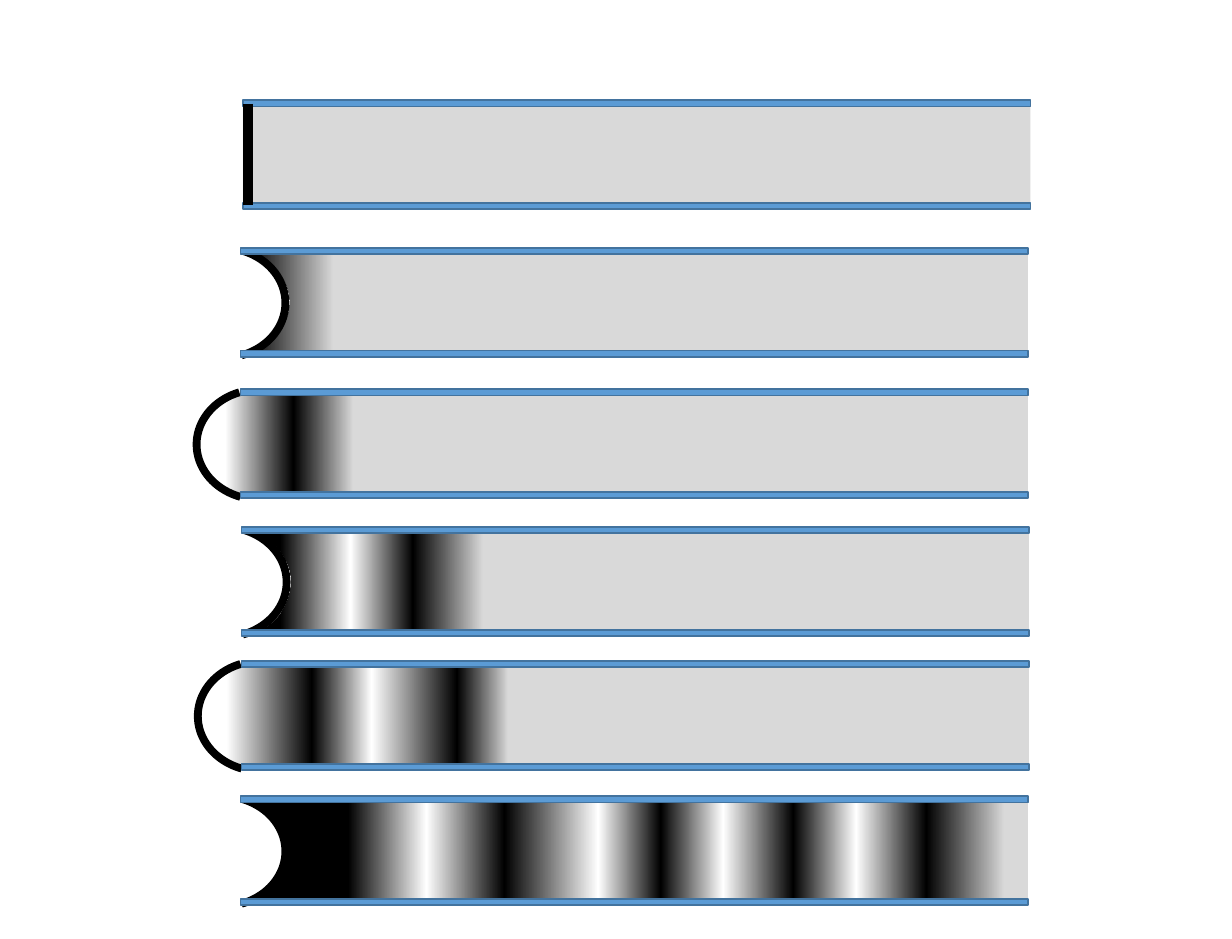
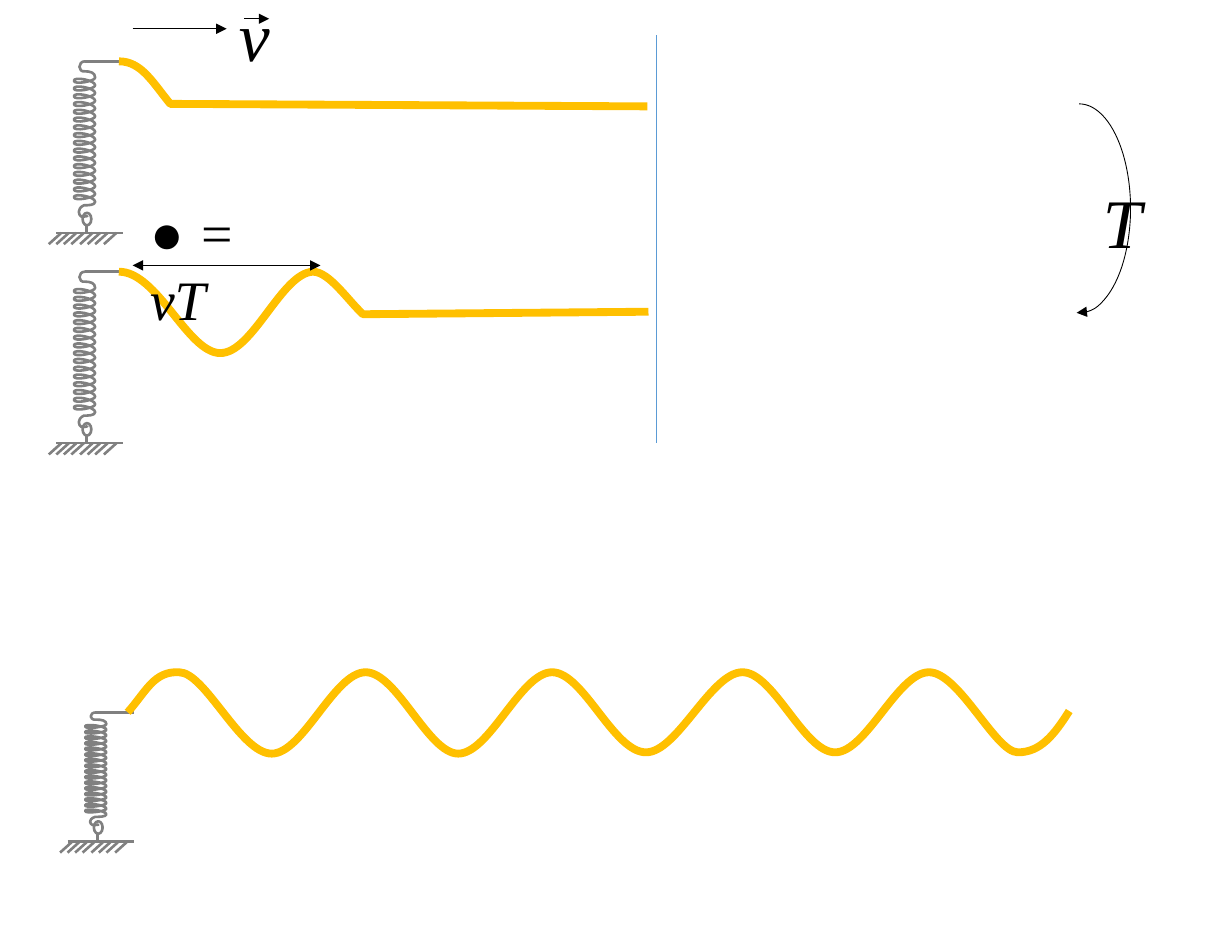
import lxml.etree
import pptx
import pptx.dml.color
import pptx.enum.shapes
import pptx.oxml.ns
import pptx.util

SCALE = 9144
KIND = pptx.enum.shapes.MSO_SHAPE
BLACK, WHITE, PALE = "000000", "FFFFFF", "D9D9D9"
BLUE, EDGE, GRAY, GOLD = "5B9BD5", "43739E", "808080", "FFC000"
FONT = "Times New Roman"
DENT = (58, 24, 30, 80, 0, 83)
DEEP = (24, 9, 53, 65, -1, 83)
BULGE = (-59, 13, -46, 79, 0, 82)


def px(size):
    """Turn px into EMU."""
    return round(size * SCALE)


def color(code):
    """Turn a hex string into a colour."""
    return pptx.dml.color.RGBColor.from_string(code)


def tag(name):
    """Give the full name of a drawing tag."""
    return pptx.oxml.ns.qn("a:" + name)


class Deck:
    """Holds the style and the current slide."""

    def __init__(self):
        """Open an empty deck."""
        self.show = pptx.Presentation()
        self.show.slide_width, self.show.slide_height = px(984), px(750)

    def page(self):
        """Start a blank slide."""
        self.shapes = self.show.slides.add_slide(self.show.slide_layouts[6]).shapes

    def style(self, shape, fill, line, width):
        """Set the fill and line of a shape."""
        shape.shadow.inherit = False
        if fill:
            shape.fill.solid()
            shape.fill.fore_color.rgb = color(fill)
        else:
            shape.fill.background()
        if line:
            self.stroke(shape, line, width)
        else:
            shape.line.fill.background()
        return shape

    def stroke(self, shape, line, width):
        """Set the line colour and width."""
        shape.line.color.rgb = color(line)
        shape.line.width = pptx.util.Pt(width)

    def tips(self, shape, ends):
        """Add arrowheads to the named ends."""
        for end in ends:
            lxml.etree.SubElement(shape.line._get_or_add_ln(), tag(end), type="triangle")

    def shape(self, kind, x, y, w, h, fill=None, line=None, width=1):
        """Add a preset shape."""
        shape = self.shapes.add_shape(kind, px(x), px(y), px(w), px(h))
        return self.style(shape, fill, line, width)

    def arc(self, x, y, w, h, start, end, width, ends=()):
        """Add an arc between two angles."""
        arc = self.shape(KIND.ARC, x, y, w, h, None, BLACK, width)
        arc.adjustments[0], arc.adjustments[1] = start * 0.6, end * 0.6
        self.tips(arc, ends)

    def line(self, x, y, to_x, to_y, code, width, ends=()):
        """Add a straight line or arrow."""
        kind = pptx.enum.shapes.MSO_CONNECTOR.STRAIGHT
        line = self.shapes.add_connector(kind, px(x), px(y), px(to_x), px(to_y))
        self.stroke(line, code, width)
        self.tips(line, ends)
        lxml.etree.SubElement(line.element.spPr, tag("effectLst"))

    def curve(self, start, steps, line=None, width=1, close=False):
        """Add an outline of lines (2 numbers) and cubic curves (6 numbers)."""
        points = [(px(s[i]), px(s[i + 1])) for s in steps for i in range(0, len(s), 2)]
        form = self.shapes.build_freeform(px(start[0]), px(start[1]), scale=1.0)
        form.add_line_segments(points, close=close)
        shape = form.convert_to_shape()
        nodes = iter(list(shape.element.spPr.iter(tag("lnTo"))))
        for step in steps:
            group = [next(nodes) for _ in range(len(step) // 2)]
            if len(group) == 3:
                owner = group[0].getparent()
                bend = lxml.etree.SubElement(owner, tag("cubicBezTo"))
                group[0].addprevious(bend)
                for node in group:
                    bend.append(node[0])
                    owner.remove(node)
        return self.style(shape, None, line, width)

    def shade(self, shape, stops):
        """Fill a shape from left to right by stops."""
        shape.fill.gradient()
        shape.fill.gradient_angle = 0
        bag = shape.element.spPr.find(".//" + tag("gsLst"))
        for stop in list(bag):
            bag.remove(stop)
        for spot, code in stops:
            stop = lxml.etree.SubElement(bag, tag("gs"), pos=str(spot * 1000))
            lxml.etree.SubElement(stop, tag("srgbClr"), val=code)

    def text(self, x, y, w, h, words, size, wrap=False):
        """Add italic text."""
        frame = self.shapes.add_textbox(px(x), px(y), px(w), px(h)).text_frame
        frame.word_wrap = wrap
        frame.text = words
        font = frame.paragraphs[0].runs[0].font
        font.name, font.size, font.italic = FONT, pptx.util.Pt(size), True
        font.color.rgb = color(BLACK)

    def rails(self, x, y):
        """Add the two walls of a tube."""
        for top in (y, y + 82):
            self.shape(KIND.RECTANGLE, x, top, 629, 5, BLUE, EDGE)

    def tube(self, x, y, side, spots):
        """Add a tube of gas with a bent skin, dark and light by turns."""
        left, top = x + 6, y + 2
        bend = tuple(v + (left, top)[i % 2] for i, v in enumerate(side))
        steps = [bend, (left + 623, top + 81), (left + 623, top)]
        gas = self.curve((left, top), steps, close=True)
        first = side is BULGE
        tones = [(BLACK, WHITE)[(i + first) % 2] for i in range(len(spots) - 1)] + [PALE]
        self.shade(gas, zip(spots, tones))
        if side is BULGE:
            self.arc(x - 35, y, 101, 88, 110.25, 248.6, 4.5)
        else:
            self.arc(x - 65, y, 101, 88, 291.4, 69.75, 4.5)
        self.rails(x, y)

    def spring(self, x, top, base):
        """Add a spring on hatched ground."""
        size = (base - top - 13) / 124
        steps = [(-6, 0, -6, 9, 0, 8), (4, 8, 8, 9, 8, 13)]
        for i in range(16):
            y = 13 + 6.2 * i
            steps += [(8, y + 3, -9, y + 6, -9, y + 2.5), (-9, y - 1, 8, y + 2, 8, y + 6.2)]
        steps += [(8, 115, 2, 115, -1, 115), (-7, 118, -5, 123, -3, 124), (-1, 124, 2, 124, 2, 123)]
        coil = [tuple(top + v * size if i % 2 else x + v for i, v in enumerate(s)) for s in steps]
        self.curve((x, top), coil, GRAY, 1.5)
        self.shape(KIND.OVAL, x - 2, base - 16, 7, 10, None, GRAY, 1.5)
        self.line(x + 1, base - 7, x + 1, base, GRAY, 1.5)
        self.line(x, top, x + 30, top, GRAY, 1.5)
        self.line(x - 23, base, x + 30, base, GRAY, 1.5)
        for i in range(8):
            spot = x - 19 + i * 44 // 7
            self.line(spot, base, spot - 10, base + 9, GRAY, 1.5)


def tubes(deck):
    """Draw the six tubes."""
    deck.page()
    deck.shape(KIND.RECTANGLE, 194, 83, 629, 79, PALE)
    deck.rails(194, 80)
    deck.line(198, 83, 198, 164, BLACK, 6)
    for tube in (
        (192, 198, DENT, (0, 11)),
        (192, 311, BULGE, (6, 14, 21)),
        (193, 421, DENT, (4, 13, 21, 30)),
        (193, 528, BULGE, (6, 16, 23, 33, 39)),
        (192, 636, DEEP, (13, 23, 33, 45, 53, 61, 70, 78, 87, 97)),
    ):
        deck.tube(*tube)


def waves(deck):
    """Draw the three springs and their waves."""
    deck.page()
    for x, top, base, start, steps in (
        (77, 569, 672, (102, 569), [
            (117, 552, 123, 536, 143, 537), (164, 537, 192, 602, 217, 602),
            (242, 602, 267, 537, 292, 537), (317, 537, 342, 602, 366, 602),
            (391, 602, 416, 537, 441, 537), (466, 537, 490, 601, 516, 601),
            (541, 601, 568, 537, 593, 537), (618, 537, 642, 601, 667, 601),
            (692, 601, 717, 537, 742, 537), (766, 537, 795, 601, 813, 601),
            (831, 601, 842, 587, 854, 568)]),
        (68, 49, 186, (95, 49), [(113, 49, 122, 66, 136, 83), (517, 85)]),
        (68, 217, 354, (95, 217), [
            (126, 217, 150, 282, 176, 282), (202, 282, 225, 218, 250, 217),
            (263, 217, 278, 240, 290, 251), (518, 249)]),
    ):
        deck.spring(x, top, base)
        deck.curve(start, steps, GOLD, 4.5)
    deck.line(106, 212, 256, 212, BLACK, 0.5, ("headEnd", "tailEnd"))
    deck.line(106, 23, 181, 23, BLACK, 0.5, ("tailEnd",))
    deck.text(181, -11, 45, 77, "v", 40)
    deck.line(195, 15, 215, 15, BLACK, 0.5, ("tailEnd",))
    deck.arc(821, 83, 82, 167, 270, 91.4, 0.5, ("tailEnd",))
    deck.text(110, 153, 115, 64, "● = vT", 32, True)
    deck.text(871, 138, 51, 77, "T", 40)
    deck.line(524, 28, 524, 354, BLUE, 0.5)


def main():
    """Build and save the deck."""
    deck = Deck()
    tubes(deck)
    waves(deck)
    deck.show.save("out.pptx")


if __name__ == "__main__":
    main()
